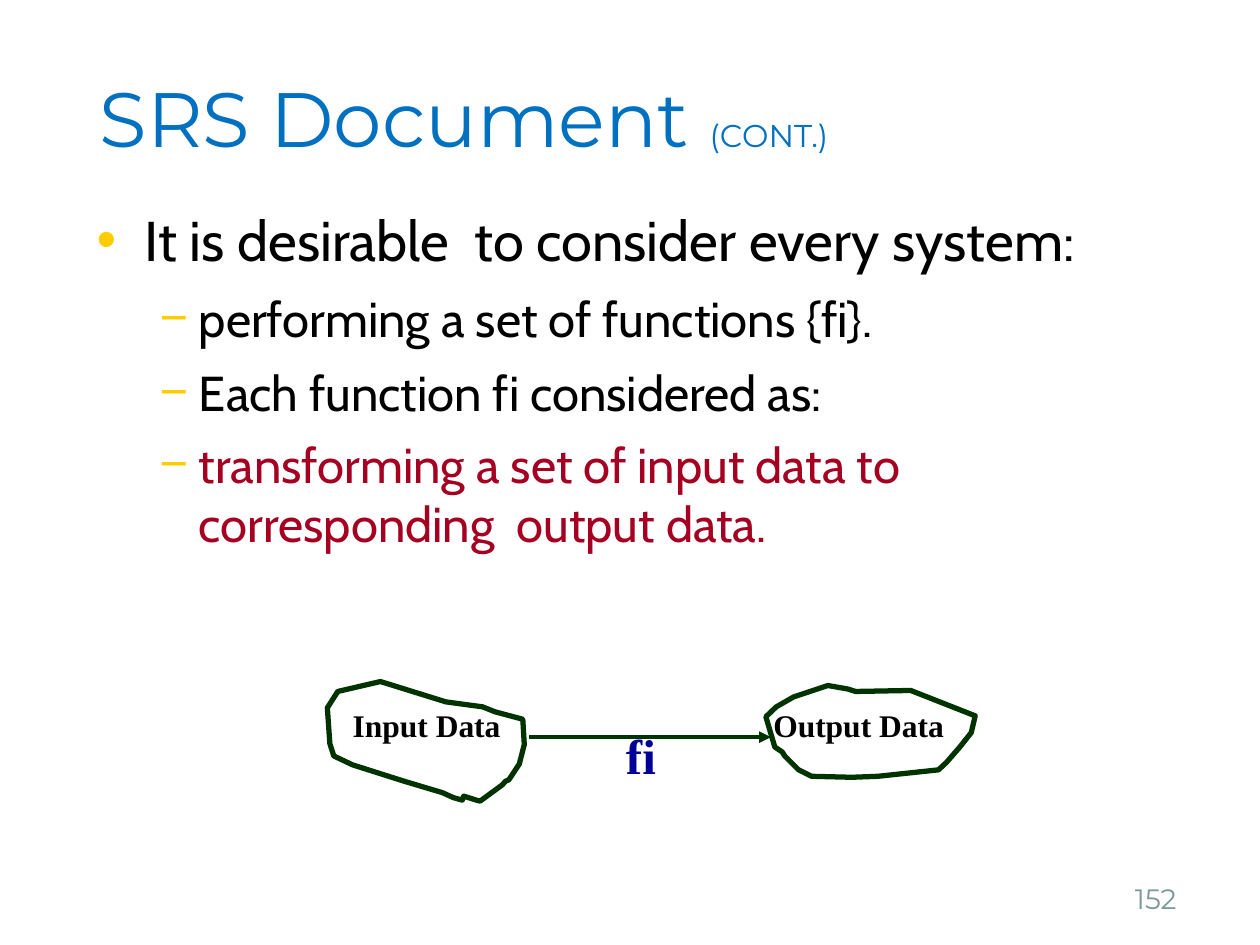
"""Build the slide on how an SRS document views a system as functions."""
from dataclasses import dataclass

from lxml import etree
from pptx import Presentation
from pptx.dml.color import RGBColor
from pptx.enum.shapes import MSO_CONNECTOR
from pptx.enum.text import MSO_ANCHOR, MSO_AUTO_SIZE, PP_ALIGN
from pptx.oxml.ns import qn
from pptx.util import Cm, Pt

STRAIGHT = MSO_CONNECTOR.STRAIGHT
TOP, MIDDLE, BOTTOM = MSO_ANCHOR.TOP, MSO_ANCHOR.MIDDLE, MSO_ANCHOR.BOTTOM
LEFT, RIGHT = PP_ALIGN.LEFT, PP_ALIGN.RIGHT
NO_AUTOFIT = MSO_AUTO_SIZE.NONE

TITLE_BLUE = RGBColor(0x00, 0x70, 0xC0)
BLACK = RGBColor(0x00, 0x00, 0x00)
CRIMSON = RGBColor(0xA5, 0x00, 0x21)
BULLET_GOLD = RGBColor(0xFF, 0xCC, 0x00)
DARK_GREEN = RGBColor(0x00, 0x33, 0x00)
NAVY = RGBColor(0x00, 0x00, 0x99)
GRAY = RGBColor(0x7B, 0x98, 0x99)

HEADING_FONT, BODY_FONT, LABEL_FONT = "Montserrat", "Cabin", "Times New Roman"
NARROW, WIDE = 0.05, 0.25


@dataclass(frozen=True)
class Box:
    left: float
    top: float
    width: float
    height: float


@dataclass(frozen=True)
class Bullet:
    text: str
    level: int
    size: float
    space_before: float
    color: RGBColor = BLACK


@dataclass(frozen=True)
class BulletStyle:
    character: str
    margin: float
    hanging: float


@dataclass(frozen=True)
class Label:
    text: str
    box: Box
    size: float
    color: RGBColor
    font_name: str = LABEL_FONT
    bold: bool = True
    line_spacing: float = 0.85
    side_inset: float = NARROW
    anchor: MSO_ANCHOR = TOP
    alignment: PP_ALIGN = LEFT


BULLET_STYLES = (BulletStyle("•", 0.96, 0.96), BulletStyle("−", 2.06, 0.79))
BULLETS = (
    Bullet("It is desirable  to consider every system:", 0, 32, 0),
    Bullet("performing a set of functions {fi}.", 1, 28, 8.9),
    Bullet("Each function fi considered as:", 1, 28, 8.9),
    Bullet("transforming a set of input data to corresponding  output data.",
           1, 28, 7.3, CRIMSON),
)
LABELS = (
    Label("Input Data", Box(7.06, 14.22, 4.22, 1.02), 18, BLACK),
    Label("Output Data", Box(15.54, 14.22, 4.22, 1.02), 18, BLACK),
    Label("fi", Box(12.57, 14.68, 3.18, 1.63), 28, NAVY),
    Label("152", Box(18.69, 17.3, 5.28, 1.27), 16, GRAY, HEADING_FONT, False, 1,
          WIDE, BOTTOM, RIGHT),
)
OUTLINE_UNIT = Cm(0.01)
INPUT_OUTLINE = (
    (1054, 1450), (998, 1435), (973, 1425), (899, 1415), (767, 1374), (681, 1394),
    (660, 1427), (665, 1499), (673, 1524), (711, 1542), (815, 1575), (892, 1598),
    (914, 1608), (932, 1613), (935, 1605), (960, 1613), (968, 1615), (1013, 1582),
    (1019, 1575), (1026, 1572), (1047, 1540), (1057, 1501),
)
OUTPUT_OUTLINE = (
    (1544, 1445), (1565, 1425), (1600, 1405), (1669, 1382), (1709, 1389),
    (1725, 1394), (1836, 1392), (1925, 1427), (1958, 1440), (1966, 1443),
    (1958, 1477), (1935, 1506), (1908, 1537), (1892, 1552), (1770, 1565),
    (1717, 1567), (1636, 1565), (1610, 1552), (1582, 1524), (1577, 1516),
    (1562, 1506),
)


def place(shape, box: Box) -> None:
    shape.left, shape.top = Cm(box.left), Cm(box.top)
    shape.width, shape.height = Cm(box.width), Cm(box.height)


def format_frame(frame, anchor: MSO_ANCHOR, side_inset: float = NARROW) -> None:
    frame.word_wrap = True
    frame.auto_size = NO_AUTOFIT
    frame.vertical_anchor = anchor
    frame.margin_left = frame.margin_right = Cm(side_inset)
    frame.margin_top = frame.margin_bottom = Cm(0.13)


def format_font(font, name: str, size: float, color: RGBColor,
                bold: bool = False) -> None:
    font.name, font.size, font.bold = name, Pt(size), bold
    font.color.rgb = color


def fill_title(shape) -> None:
    place(shape, Box(1.96, 0.76, 21.59, 3.18))
    format_frame(shape.text_frame, MIDDLE)
    paragraph = shape.text_frame.paragraphs[0]
    paragraph.alignment = LEFT
    format_font(paragraph.font, HEADING_FONT, 44, TITLE_BLUE)
    for text, size in (("SRS Document ", 44), ("(CONT.)", 18)):
        run = paragraph.add_run()
        run.text = text
        run.font.size = Pt(size)


def add_bullet_mark(paragraph, style: BulletStyle) -> None:
    properties = paragraph._p.get_or_add_pPr()
    properties.set("marL", str(Cm(style.margin)))
    properties.set("indent", str(-Cm(style.hanging)))
    color = etree.SubElement(properties, qn("a:buClr"))
    etree.SubElement(color, qn("a:srgbClr"), val=str(BULLET_GOLD))
    etree.SubElement(properties, qn("a:buChar"), char=style.character)


def fill_body(shape) -> None:
    place(shape, Box(1.9, 4.01, 21.59, 11.43))
    frame = shape.text_frame
    format_frame(frame, TOP)
    for index, bullet in enumerate(BULLETS):
        paragraph = frame.add_paragraph() if index else frame.paragraphs[0]
        paragraph.text = bullet.text
        paragraph.level = bullet.level
        add_bullet_mark(paragraph, BULLET_STYLES[bullet.level])
        paragraph.space_before = Pt(bullet.space_before)
        format_font(paragraph.font, BODY_FONT, bullet.size, bullet.color)


def add_label(slide, label: Label) -> None:
    shape = slide.shapes.add_textbox(0, 0, 0, 0)
    place(shape, label.box)
    format_frame(shape.text_frame, label.anchor, label.side_inset)
    paragraph = shape.text_frame.paragraphs[0]
    paragraph.text = label.text
    paragraph.alignment = label.alignment
    paragraph.line_spacing = label.line_spacing
    format_font(paragraph.font, label.font_name, label.size, label.color, label.bold)


def add_arrow(slide) -> None:
    arrow = slide.shapes.add_connector(
        STRAIGHT, Cm(10.67), Cm(14.86), Cm(15.54), Cm(14.86))
    arrow.line.color.rgb = DARK_GREEN
    arrow.line.width = Pt(2.25)
    etree.SubElement(arrow.line._get_or_add_ln(), qn("a:tailEnd"), type="triangle")
    etree.SubElement(arrow._element.spPr, qn("a:effectLst"))


def add_outline(slide, points: tuple[tuple[int, int], ...]) -> None:
    builder = slide.shapes.build_freeform(*points[0], scale=OUTLINE_UNIT)
    builder.add_line_segments(points[1:], close=True)
    shape = builder.convert_to_shape()
    shape.shadow.inherit = False
    shape.fill.background()
    shape.line.color.rgb = DARK_GREEN
    shape.line.width = Pt(3)


def main() -> None:
    presentation = Presentation()
    presentation.slide_width, presentation.slide_height = Cm(25.4), Cm(19.05)
    slide = presentation.slides.add_slide(presentation.slide_layouts[1])
    fill_title(slide.shapes.title)
    fill_body(slide.placeholders[1])
    for label in LABELS:
        add_label(slide, label)
    add_arrow(slide)
    for points in (INPUT_OUTLINE, OUTPUT_OUTLINE):
        add_outline(slide, points)
    presentation.save("out.pptx")


if __name__ == "__main__":
    main()
